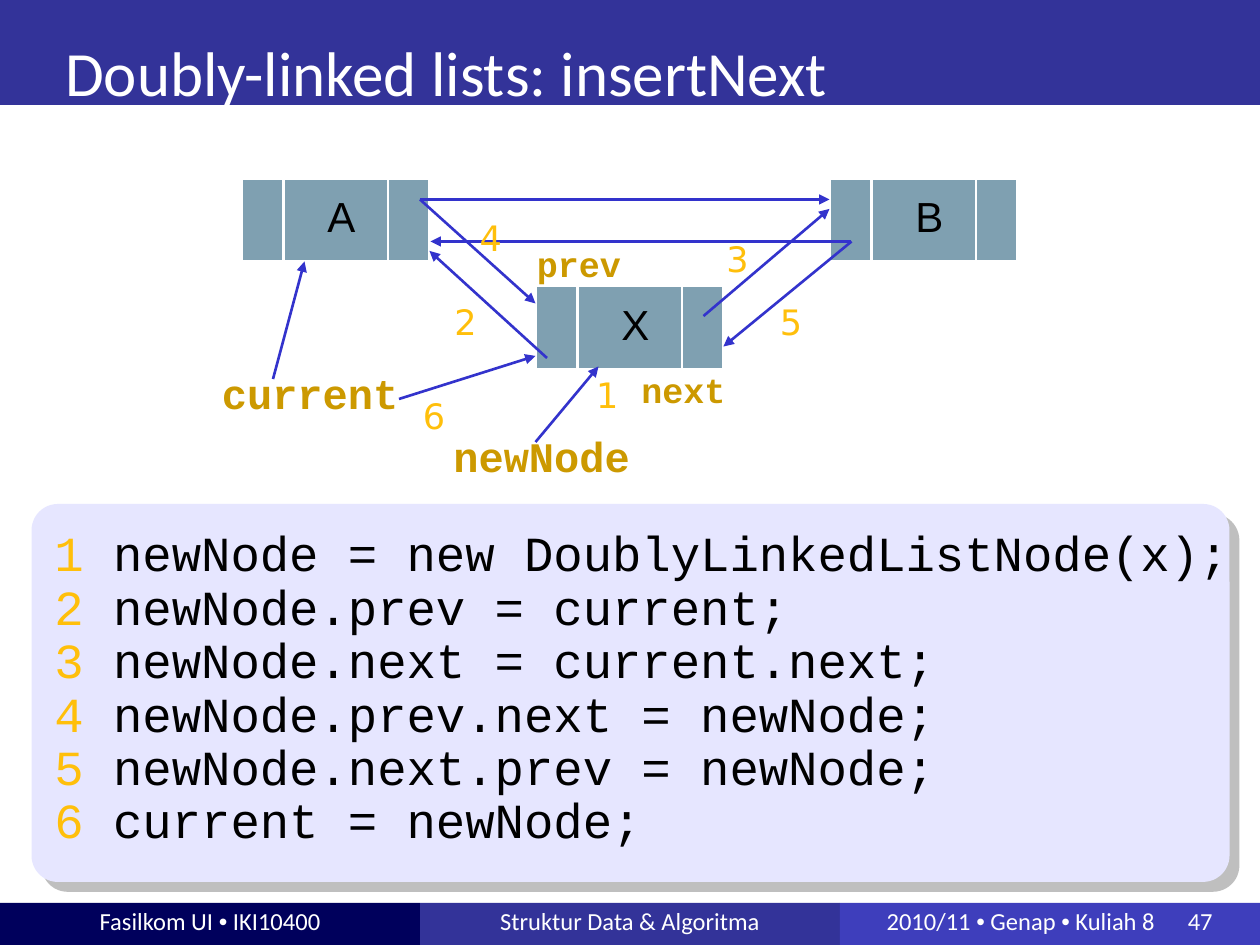
from dataclasses import dataclass

from lxml.etree import SubElement
from pptx import Presentation
from pptx.dml.color import RGBColor
from pptx.enum.shapes import MSO_CONNECTOR, MSO_SHAPE
from pptx.enum.text import MSO_ANCHOR, PP_ALIGN
from pptx.oxml.ns import qn
from pptx.util import Inches, Pt


@dataclass(frozen=True)
class Theme:
    """Colours, fonts and type sizes."""
    band: str = "333399"
    band_dark: str = "00005C"
    band_light: str = "3E3EBC"
    panel: str = "E6E6FF"
    shadow: str = "808080"
    node: str = "7FA0B1"
    arrow: str = "3333CC"
    name: str = "CC9900"
    step: str = "FFBF0B"
    ink: str = "000000"
    paper: str = "FFFFFF"
    sans: str = "Calibri"
    plain: str = "Arial"
    mono: str = "Courier New"
    digit: str = "DejaVu Sans"
    title: int = 36
    code: int = 28
    label: int = 24
    small: int = 20
    footer: int = 14
    line: float = 1.5


class Deck:
    """Draws styled elements on a grid of 120 columns by 90 rows."""

    def __init__(self, theme):
        self.t = theme
        self.prs = Presentation()
        self.prs.slide_width, self.prs.slide_height = Inches(10), Inches(7.5)
        self.s = self.prs.slides.add_slide(self.prs.slide_layouts[5])

    def grid(self, *cells):
        return [round(self.prs.slide_width * cell / 120) for cell in cells]

    def style(self, r, size, font, color, bold=False):
        r.font.size, r.font.name, r.font.bold = Pt(size), font, bold
        r.font.color.rgb = RGBColor.from_string(color)

    def box(self, cells, fill, line=None, kind=MSO_SHAPE.RECTANGLE, parent=None):
        sp = (parent or self.s).shapes.add_shape(kind, *self.grid(*cells))
        sp.shadow.inherit = False
        sp.fill.solid()
        sp.fill.fore_color.rgb = RGBColor.from_string(fill)
        if line:
            sp.line.color.rgb = RGBColor.from_string(line)
            sp.line.width = Pt(self.t.line)
        else:
            sp.line.fill.background()
        return sp

    def line(self, cells, color, parent=None):
        cx = (parent or self.s).shapes.add_connector(MSO_CONNECTOR.STRAIGHT, *self.grid(*cells))
        cx.line.color.rgb = RGBColor.from_string(color)
        cx.line.width = Pt(self.t.line)
        SubElement(cx._element.spPr, qn("a:effectLst"))
        return cx

    def arrow(self, *cells):
        cx = self.line(cells, self.t.arrow)
        SubElement(cx.line._get_or_add_ln(), qn("a:tailEnd"), type="triangle")

    def label(self, text, cells, size, font, color, bold=False, spacing=1.0, parent=None):
        tf = (parent or self.s).shapes.add_textbox(*self.grid(*cells)).text_frame
        tf.word_wrap = False
        p = tf.paragraphs[0]
        p.text, p.line_spacing = text, spacing
        self.style(p.runs[0], size, font, color, bold)

    def title(self, text, cells):
        sp = self.s.shapes.title
        sp.left, sp.top, sp.width, sp.height = self.grid(*cells)
        self.s.shapes._spTree.append(sp._element)
        tf = sp.text_frame
        tf.text, tf.vertical_anchor = text, MSO_ANCHOR.BOTTOM
        p = tf.paragraphs[0]
        p.alignment = PP_ALIGN.LEFT
        self.style(p.runs[0], self.t.title, self.t.sans, self.t.paper)

    def footer(self, column, text, fill, tab=None):
        tf = self.box((column, 86, 40, 4), fill).text_frame
        tf.vertical_anchor, tf.word_wrap = MSO_ANCHOR.MIDDLE, True
        tf.margin_top, tf.margin_bottom = 0, Inches(0.05)
        p = tf.paragraphs[0]
        p.alignment = PP_ALIGN.CENTER
        if tab:
            p.alignment, tf.margin_left = PP_ALIGN.LEFT, Inches(0.37)
            tabs = SubElement(p._p.get_or_add_pPr(), qn("a:tabLst"))
            SubElement(tabs, qn("a:tab"), pos=str(Inches(tab)), algn="l")
        for i, part in enumerate(text.split("•")):
            for piece, font in ([("•", self.t.plain)] if i else []) + [(part, self.t.sans)]:
                r = p.add_run()
                r.text = piece
                self.style(r, self.t.footer, font, self.t.paper)

    def panel(self, cells):
        sp = self.box(cells, self.t.panel, kind=MSO_SHAPE.ROUNDED_RECTANGLE)
        sp.adjustments[0] = 0.07
        effects = sp._element.spPr.find(qn("a:effectLst"))
        shadow = SubElement(effects, qn("a:outerShdw"), dist=str(Pt(8)), dir="2700000", algn="tl", rotWithShape="0")
        color = SubElement(shadow, qn("a:srgbClr"), val=self.t.shadow)
        SubElement(color, qn("a:alpha"), val="50000")

    def code(self, lines, cells):
        tf = self.s.shapes.add_textbox(*self.grid(*cells)).text_frame
        tf.word_wrap = True
        for i, line in enumerate(lines):
            p = tf.add_paragraph() if i else tf.paragraphs[0]
            p.line_spacing, p.space_before, p.space_after = 0.64, Pt(3 if i else 0), Pt(6)
            for text, color in ((str(i + 1), self.t.step), (f" {line}", self.t.ink)):
                r = p.add_run()
                r.text = text
                self.style(r, self.t.code, self.t.mono, color)

    def node(self, letter, col, row):
        g = self.s.shapes.add_group_shape()
        group = GroupParent(g.shapes)
        self.box((col, row, 17.9, 7.9), self.t.node, self.t.paper, parent=group)
        for x in (col + 4, col + 13.95):
            self.line((x, row, x, row + 7.9), self.t.paper, group)
        self.label(letter, (col + 7, row + 1, 5.2, 5.6), self.t.label, self.t.plain, self.t.ink,
                   spacing=0.93, parent=group)

    def name(self, text, col, row, size):
        width = len(text) * size / 10 + 2.4
        self.label(text, (col, row, width, 5.5), size, self.t.mono, self.t.name, True, 0.89)

    def step(self, number, col, row):
        self.label(str(number), (col, row, 4.3, 5.3), self.t.small, self.t.digit, self.t.step)


@dataclass
class GroupParent:
    """Holds the shapes of a group."""
    shapes: object


def main():
    t = Theme()
    d = Deck(t)
    d.box((0, 0, 120, 10), t.band)
    d.footer(0, "Fasilkom UI • IKI10400", t.band_dark)
    d.footer(40, "Struktur Data & Algoritma", t.band)
    d.footer(80, "2010/11 • Genap • Kuliah 8\t47", t.band_light, tab=2.39)
    d.panel((3, 48, 114.1, 36))
    d.title("Doubly-linked lists: insertNext", (5, -1.5, 107.2, 12.5))
    d.code((
        "newNode = new DoublyLinkedListNode(x);",
        "newNode.prev = current;",
        "newNode.next = current.next;",
        "newNode.prev.next = newNode;",
        "newNode.next.prev = newNode;",
        "current = newNode;",
    ), (4, 51, 116, 32))
    for letter, col, row in (("A", 23, 17), ("B", 79, 17), ("X", 51, 27.25)):
        d.node(letter, col, row)
    for text, col, row, size in (
        ("current", 19.95, 35, t.label), ("newNode", 42, 41, t.label),
        ("prev", 49.95, 23, t.small), ("next", 59.9, 35, t.small),
    ):
        d.name(text, col, row, size)
    for cells in (
        (40, 19, 51, 28.9), (81.1, 23, 68.9, 33), (26, 36.1, 29, 24.9),
        (67, 30.1, 79, 19.9), (52.1, 34.1, 40.9, 23.9), (51, 42.1, 57, 34.9),
        (38, 38, 51, 33.9), (40, 19, 79, 19), (81, 23, 41, 23),
    ):
        d.arrow(*cells)
    places = ((55.6, 35), (42.1, 28), (68, 22), (44.5, 20), (73.1, 28), (39.1, 37))
    for number, (col, row) in enumerate(places, 1):
        d.step(number, col, row)
    d.prs.save("out.pptx")


if __name__ == "__main__":
    main()
